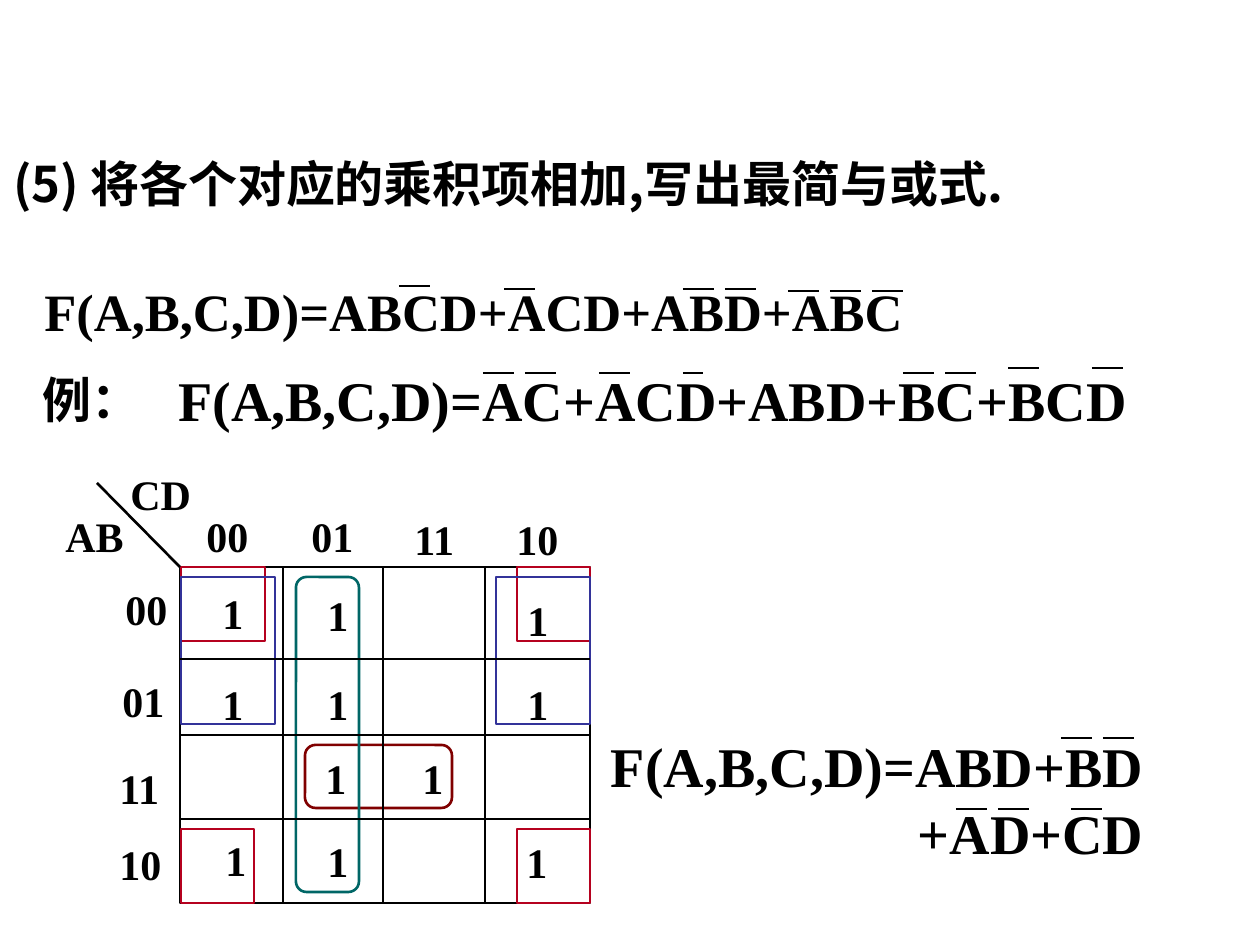
from lxml import etree
from pptx import Presentation
from pptx import util as u
from pptx.dml.color import RGBColor
from pptx.enum import shapes, text
from pptx.oxml.ns import qn

PX = 914400 / 126
BLACK = RGBColor(0x00, 0x00, 0x00)
MAROON = RGBColor(0x80, 0x00, 0x00)
RED = RGBColor(0xB5, 0x01, 0x1F)
BLUE = RGBColor(0x33, 0x33, 0x99)
TEAL = RGBColor(0x00, 0x66, 0x66)
SERIF = "Times New Roman"
SANS = "Noto Sans CJK SC"
RECT = shapes.MSO_SHAPE.RECTANGLE
ROUND = shapes.MSO_SHAPE.ROUNDED_RECTANGLE

presentation = Presentation()
presentation.slide_width = u.Emu(round(1260 * PX))
presentation.slide_height = u.Emu(round(945 * PX))
slide = presentation.slides.add_slide(presentation.slide_layouts[6])


def add_label(words, left, top, width, height, size=24, font=SERIF,
              align=text.PP_ALIGN.LEFT):
    box = slide.shapes.add_textbox(*(round(v * PX) for v in (left, top, width, height)))
    frame = box.text_frame
    frame.word_wrap = False
    frame.auto_size = text.MSO_AUTO_SIZE.SHAPE_TO_FIT_TEXT
    frame.text = words
    for paragraph in frame.paragraphs:
        paragraph.alignment = align
        paragraph.font.size = u.Pt(size)
        paragraph.font.bold = True
        paragraph.font.name = font
        paragraph.font.color.rgb = BLACK
        properties = paragraph._p.pPr.find(qn("a:defRPr"))
        etree.SubElement(properties, qn("a:ea")).set("typeface", SANS)


def add_line(x1, y1, x2, y2, weight=1.5):
    line = slide.shapes.add_connector(
        shapes.MSO_CONNECTOR.STRAIGHT, *(round(v * PX) for v in (x1, y1, x2, y2)))
    line.line.color.rgb = BLACK
    line.line.width = u.Pt(weight)
    etree.SubElement(line._element.spPr, qn("a:effectLst"))
    return line


add_label("(5) 将各个对应的乘积项相加,写出最简与或式.", 1, 147, 1064, 72, 28, SANS)
add_label("例：", 30, 363, 126, 72, 28)

# Karnaugh map: frame and loops around the grouped ones
LEFT, TOP, RIGHT, BOTTOM = 180, 567, 590, 903
outlines = [
    (RECT, LEFT, TOP, RIGHT - LEFT, BOTTOM - TOP, BLACK),
    (ROUND, 305, 745, 147, 63, MAROON),
    (RECT, 517, 829, 73, 74, RED),
    (RECT, 181, 829, 73, 74, RED),
    (RECT, 517, 567, 73, 74, RED),
    (RECT, 181, 567, 84, 74, RED),
    (RECT, 496, 577, 94, 147, BLUE),
    (RECT, 181, 577, 94, 147, BLUE),
    (ROUND, 296, 577, 63, 315, TEAL),
]
drawn = []
for kind, left, top, width, height, color in outlines:
    shape = slide.shapes.add_shape(
        kind, *(round(v * PX) for v in (left, top, width, height)))
    shape.shadow.inherit = False
    shape.fill.background()
    shape.line.color.rgb = color
    shape.line.width = u.Pt(1.5)
    drawn.append(shape)
grid = drawn[0]

for x in (283, 383, 485):
    add_line(x, TOP, x, BOTTOM)
for y in (659, 819):
    add_line(LEFT, y, RIGHT, y)
middle = add_line(LEFT, 735, RIGHT, 735)
middle.begin_connect(grid, 1)
middle.end_connect(grid, 3)
add_line(LEFT, TOP, 97, 483)

# Variable names, Gray-code headings and cell values
add_label("AB", 53, 504, 88, 63)
add_label("CD", 118, 462, 90, 63)
codes = ("00", "01", "11", "10")
row_places = ((113, 577), (110, 669), (107, 756), (107, 832))
column_places = ((194, 504), (299, 504), (402, 507), (504, 507))
for places in (row_places, column_places):
    for code, (left, top) in zip(codes, places):
        add_label(code, left, top, 70, 63)
ones = [
    (210, 581), (315, 583), (515, 588),
    (210, 672), (315, 672), (515, 672),
    (313, 746), (410, 746),
    (213, 828), (315, 829), (514, 830),
]
for left, top in ones:
    add_label("1", left, top, 46, 63)

# Formulas, then the bars over their negated variables
add_label("F(A,B,C,D)=ABCD+ACD+ABD+ABC", 32, 273, 890, 76, 30)
add_label("F(A,B,C,D)=AC+ACD+ABD+BC+BCD", 166, 359, 984, 81, 32)
add_label("F(A,B,C,D)=ABD+BD\n+AD+CD", 590, 725, 566, 147, 32,
          align=text.PP_ALIGN.RIGHT)
BAR = 31
bars = [
    (286, 1.5, (399,)),
    (289, 1.5, (504, 683, 725)),
    (291, 1.5, (788, 830, 872)),
    (373, 0.75, (483, 525, 599, 903, 945)),
    (368, 0.75, (1008, 1092)),
    (738, 1.5, (1061, 1103)),
    (809, 1.5, (956, 998, 1071)),
]
for y, weight, starts in bars:
    for x in starts:
        add_line(x, y, x + BAR, y, weight)
add_line(683, 373, 703, 373, 0.75)

presentation.save("out.pptx")
